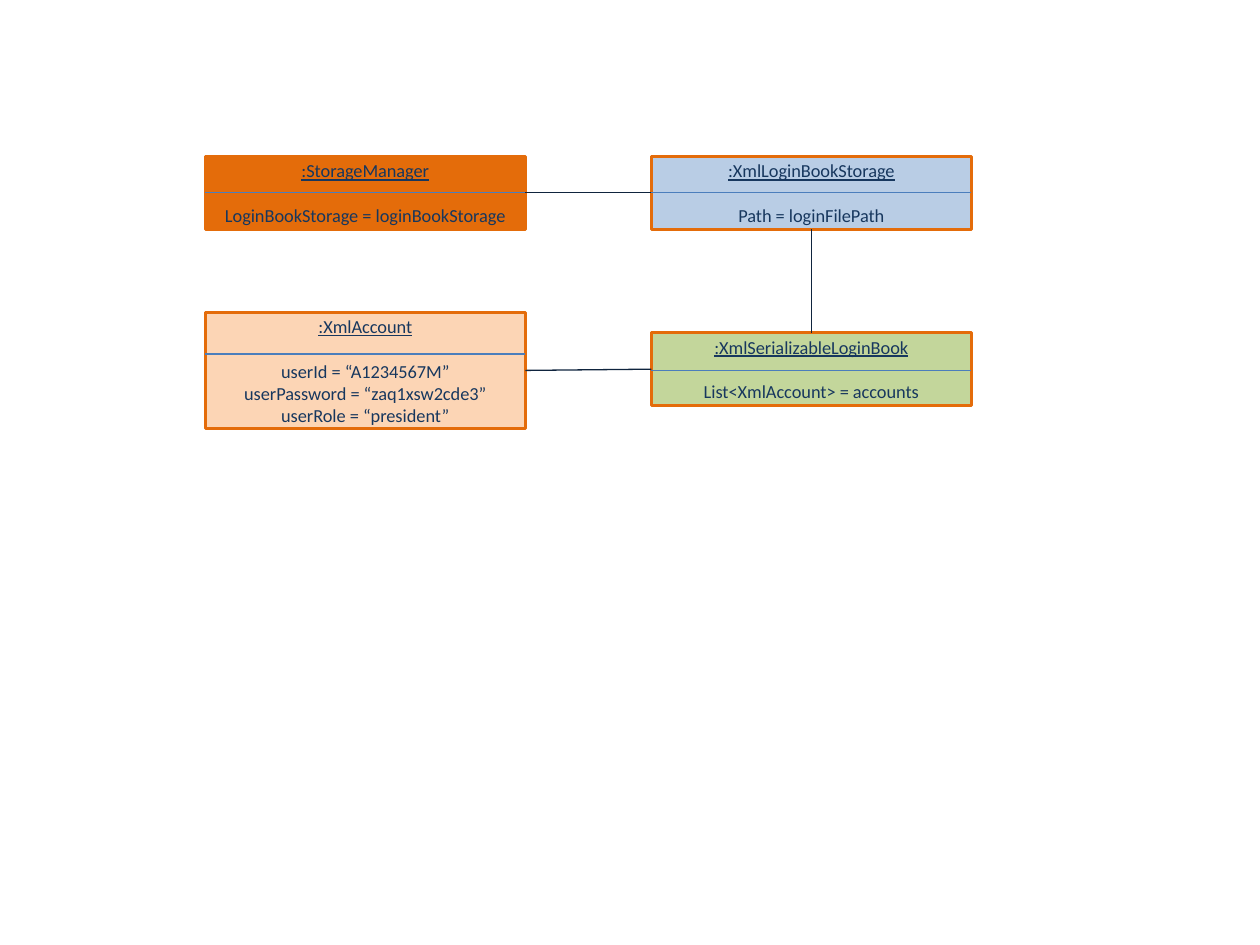
from pptx import Presentation
from pptx.dml.color import RGBColor
from pptx.enum import shapes, text
from pptx.oxml.ns import qn
from pptx.util import Inches, Pt
from lxml import etree

ORANGE = RGBColor(0xE4, 0x6C, 0x0A)
BLUE = RGBColor(0xB9, 0xCD, 0xE5)
GREEN = RGBColor(0xC3, 0xD6, 0x9B)
PEACH = RGBColor(0xFC, 0xD5, 0xB5)
NAVY = RGBColor(0x17, 0x37, 0x5E)
DIVIDER = RGBColor(0x4B, 0x7E, 0xBC)
LINK = RGBColor(0x0F, 0x24, 0x3E)

BOX_WIDTH = 2.54
LEFT_COLUMN, RIGHT_COLUMN = 1.63, 5.17

prs = Presentation()
prs.slide_width, prs.slide_height = Inches(10), Inches(7.5)
slide = prs.slides.add_slide(prs.slide_layouts[6])


def add_line(x1, y1, x2, y2, color):
    line = slide.shapes.add_connector(
        shapes.MSO_CONNECTOR.STRAIGHT, Inches(x1), Inches(y1), Inches(x2), Inches(y2))
    line.line.color.rgb = color
    line.line.width = Pt(0.75)
    etree.SubElement(line._element.spPr, qn("a:effectLst"))
    return line


# Objects: class, left, top, height, divider offset, fill, attributes
objects = [
    ("StorageManager", LEFT_COLUMN, 1.24, 0.58, 0.29, ORANGE,
     ["LoginBookStorage = loginBookStorage"]),
    ("XmlLoginBookStorage", RIGHT_COLUMN, 1.24, 0.58, 0.29, BLUE,
     ["Path = loginFilePath"]),
    ("XmlSerializableLoginBook", RIGHT_COLUMN, 2.64, 0.58, 0.3, GREEN,
     ["List<XmlAccount> = accounts"]),
    ("XmlAccount", LEFT_COLUMN, 2.48, 0.92, 0.33, PEACH,
     ["userId = “A1234567M”", "userPassword = “zaq1xsw2cde3”",
      "userRole = “president”"]),
]
boxes = {}
for name, left, top, height, divider, fill, attributes in objects:
    box = slide.shapes.add_shape(
        shapes.MSO_SHAPE.RECTANGLE,
        Inches(left), Inches(top), Inches(BOX_WIDTH), Inches(height))
    box.shadow.inherit = False
    box.fill.solid()
    box.fill.fore_color.rgb = fill
    box.line.color.rgb = ORANGE
    box.line.width = Pt(1.5)

    frame = box.text_frame
    frame.word_wrap = True
    frame.vertical_anchor = text.MSO_ANCHOR.MIDDLE
    frame.text = "\n".join([f":{name}"] + attributes)
    for paragraph in frame.paragraphs:
        paragraph.alignment = text.PP_ALIGN.CENTER
        paragraph.font.name = "Calibri"
        paragraph.font.size = Pt(10.5)
        paragraph.font.color.rgb = NAVY
    title = frame.paragraphs[0]
    title.font.underline = True
    title.space_after = Pt(12.8)

    add_line(left, top + divider, left + BOX_WIDTH, top + divider, DIVIDER)
    boxes[name] = box

# Links between objects: class, side, class, side (0 top, 1 left, 2 bottom, 3 right)
links = [
    ("StorageManager", 3, "XmlLoginBookStorage", 1),
    ("XmlSerializableLoginBook", 1, "XmlAccount", 3),
    ("XmlSerializableLoginBook", 0, "XmlLoginBookStorage", 2),
]
for start, start_side, end, end_side in links:
    link = add_line(0, 0, 1, 1, LINK)
    link.begin_connect(boxes[start], start_side)
    link.end_connect(boxes[end], end_side)

prs.save("out.pptx")
